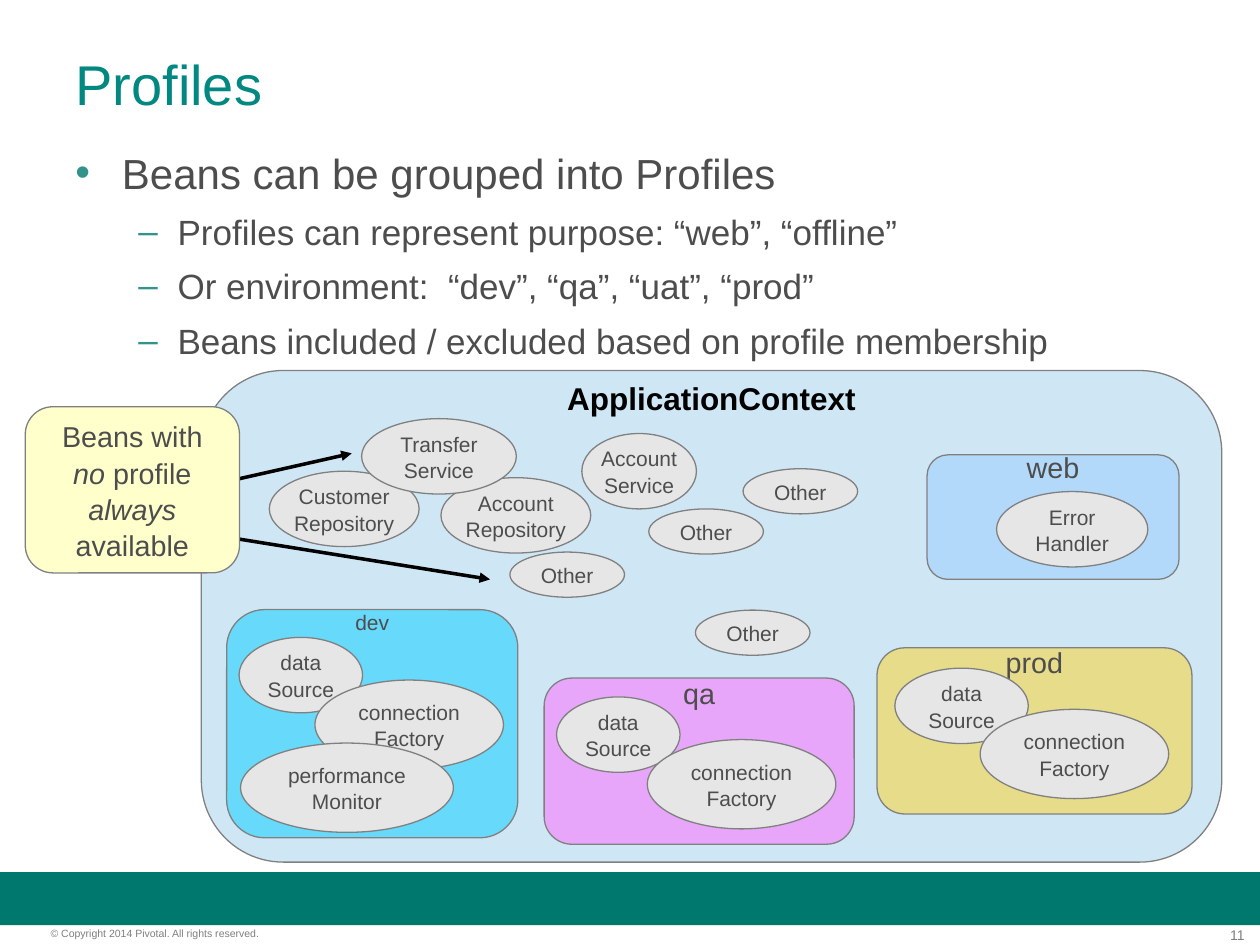
import pptx
import pptx.util
import pptx.dml.color
import pptx.enum.shapes
import pptx.enum.text
import pptx.oxml
import pptx.oxml.ns

Cm, Pt = pptx.util.Cm, pptx.util.Pt
SHAPE = pptx.enum.shapes.MSO_SHAPE
ALIGN = pptx.enum.text.PP_ALIGN
ANCHOR = pptx.enum.text.MSO_ANCHOR
GREY, HAIRLINE, ACCENT = "4D4D4D", "808080", "33928A"
NS = pptx.oxml.ns.nsdecls("a")


def rgb(value):
    """Return the colour of a hex string."""
    return pptx.dml.color.RGBColor.from_string(value)


def add_run(p, text, size, color=GREY, bold=False, italic=False):
    """Add one formatted run to a paragraph."""
    r = p.add_run()
    r.text = text
    r.font.name, r.font.size = "Arial", Pt(size)
    r.font.bold, r.font.italic = bold, italic
    r.font.color.rgb = rgb(color)


def set_frame(tf, margins, anchor=ANCHOR.TOP, wrap=True):
    """Set margins (left, top, right, bottom), anchor and wrapping."""
    tf.margin_left, tf.margin_top, tf.margin_right, tf.margin_bottom = map(Cm, margins)
    tf.vertical_anchor, tf.word_wrap = anchor, wrap


def add_lines(tf, lines, align=ALIGN.CENTER):
    """Write one paragraph per line, each line a list of run arguments."""
    for i, runs in enumerate(lines):
        p = tf.paragraphs[0] if i == 0 else tf.add_paragraph()
        p.alignment, p.line_spacing = align, 1.05
        for args in runs:
            add_run(p, *args)


def add_block(s, kind, box, fill, line=HAIRLINE, alpha=None):
    """Add a filled shape with a hairline outline."""
    sp = s.shapes.add_shape(kind, *map(Cm, box))
    sp.shadow.inherit = False
    sp.fill.solid()
    sp.fill.fore_color.rgb = rgb(fill)
    if alpha:
        clr = sp.fill._xPr.find(".//" + pptx.oxml.ns.qn("a:srgbClr"))
        clr.append(pptx.oxml.parse_xml(f'<a:alpha {NS} val="{alpha * 1000}"/>'))
    if line:
        sp.line.color.rgb = rgb(line)
        sp.line.width = 0
    else:
        sp.line.fill.background()
    return sp


def add_beans(s, box, beans):
    """Draw bean ellipses placed relative to the box."""
    for label, dx, dy, w, h in beans:
        sp = add_block(s, SHAPE.OVAL, (box[0] + dx, box[1] + dy, w, h), "E6E6E6")
        set_frame(sp.text_frame, (0.05, 0.03, 0.05, 0.03), ANCHOR.MIDDLE, False)
        add_lines(sp.text_frame, [[(word, 12)] for word in label.split()])


def add_group(s, box, title, fill, beans, top=-0.25, alpha=50):
    """Draw a rounded container with its title and beans."""
    sp = add_block(s, SHAPE.ROUNDED_RECTANGLE, box, fill, alpha=alpha)
    set_frame(sp.text_frame, (0.25, top, 0.25, 0.13))
    add_lines(sp.text_frame, [[title]])
    add_beans(s, box, beans)


def add_callout(s, box, arrows):
    """Draw the note and its arrows, placed relative to its right edge."""
    x, y, w, h = box
    for y1, dx, y2 in arrows:
        ln = s.shapes.add_connector(
            pptx.enum.shapes.MSO_CONNECTOR.STRAIGHT,
            *map(Cm, (x + w, y + y1, x + w + dx, y + y2)))
        ln.line.color.rgb = rgb("000000")
        ln.line.width = 0
        ln.line._get_or_add_ln().append(
            pptx.oxml.parse_xml(f'<a:tailEnd {NS} type="triangle"/>'))
        ln._element.spPr.append(pptx.oxml.parse_xml(f"<a:effectLst {NS}/>"))
    sp = add_block(s, SHAPE.ROUNDED_RECTANGLE, box, "FFFFCC")
    set_frame(sp.text_frame, (0.25, 0.13, 0.25, 0.13), ANCHOR.MIDDLE)
    add_lines(sp.text_frame, [
        [("Beans with", 16.4)],
        [("no", 16.4, GREY, False, True), (" profile ", 16.4),
         ("always", 16.4, GREY, False, True)],
        [("available", 16.4)],
    ])


def add_title(s, box, text):
    """Place and format the title placeholder."""
    sp = s.shapes.title
    sp.left, sp.top, sp.width, sp.height = map(Cm, box)
    set_frame(sp.text_frame, (0.25, 0.13, 0.25, 0.13), ANCHOR.MIDDLE)
    add_lines(sp.text_frame, [[(text, 32, "008881")]], ALIGN.LEFT)


def add_bullets(s, box, items):
    """Write the bulleted text, given as level and wording."""
    styles = [(24, "•", 0.94, -0.94), (20, "–", 2.06, -0.79)]
    tf = s.shapes.add_textbox(*map(Cm, box)).text_frame
    set_frame(tf, (0.25, 0.13, 0.25, 0.13))
    add_lines(tf, [[(text, styles[level][0])] for level, text in items], ALIGN.LEFT)
    for i, (p, (level, text)) in enumerate(zip(tf.paragraphs, items)):
        size, char, margin, indent = styles[level]
        p.level = level
        if i:
            p.space_before = Pt(6)
        pPr = p._p.get_or_add_pPr()
        pPr.set("marL", str(Cm(margin)))
        pPr.set("indent", str(Cm(indent)))
        for xml in (f'<a:buClr {NS}><a:srgbClr val="{ACCENT}"/></a:buClr>',
                    f'<a:buFont {NS} typeface="Arial"/>',
                    f'<a:buChar {NS} char="{char}"/>'):
            pPr.append(pptx.oxml.parse_xml(xml))


def add_footer(s, box):
    """Draw the footer band, the copyright line and the page number."""
    x, y, w, h = box
    add_block(s, SHAPE.RECTANGLE, (x, y, w, 1.07), "00786E", None)
    for text, dx, width, size, align in (
            ("© Copyright 2014 Pivotal. All rights reserved.", 1.02, 6.32, 6, ALIGN.LEFT),
            ("11", 23.62, 1.47, 8, ALIGN.RIGHT)):
        tb = s.shapes.add_textbox(*map(Cm, (x + dx, y + 1.09, width, 0.33)))
        set_frame(tb.text_frame, (0, 0, 0, 0))
        add_lines(tb.text_frame, [[(text, size, "7F7F7F")]], align)


def main():
    """Build and save the slide."""
    prs = pptx.Presentation()
    prs.slide_width, prs.slide_height = Cm(25.4), Cm(19.05)
    s = prs.slides.add_slide(prs.slide_layouts[5])
    add_footer(s, (0, 17.58, 25.4, 1.47))
    add_title(s, (1.27, 0.76, 22.86, 1.78), "Profiles")
    add_bullets(s, (1.27, 2.79, 22.86, 4.6), [
        (0, "Beans can be grouped into Profiles"),
        (1, "Profiles can represent purpose: “web”, “offline”"),
        (1, "Or environment:  “dev”, “qa”, “uat”, “prod”"),
        (1, "Beans included / excluded based on profile membership"),
    ])
    add_group(s, (4.06, 7.47, 20.57, 9.91),
              ("ApplicationContext", 18, "000000", True), "CFE7F5", [
        ("Other", 9.02, 2.79, 2.31, 0.91),
        ("Customer Repository", 1.37, 2.03, 3.02, 1.52),
        ("Account Repository", 4.83, 2.16, 3.02, 1.52),
        ("Transfer Service", 3.23, 0.97, 3.12, 1.52),
        ("Account Service", 7.67, 1.27, 2.31, 1.52),
        ("Other", 10.92, 1.98, 2.31, 0.91),
        ("Other", 9.96, 4.83, 2.31, 0.91),
        ("Other", 6.22, 3.66, 2.31, 0.91),
    ], top=-0.35, alpha=None)
    add_group(s, (4.57, 12.29, 5.87, 4.6), ("dev", 12), "00CCFF", [
        ("data Source", 0.25, 0.56, 2.49, 1.52),
        ("connection Factory", 1.78, 1.42, 3.8, 1.8),
        ("performance Monitor", 0.28, 2.69, 4.29, 1.8),
    ])
    add_group(s, (17.68, 13.06, 6.35, 3.35), ("prod", 16.4), "FFD320", [
        ("data Source", 0.36, 0.41, 2.69, 1.52),
        ("connection Factory", 2.08, 1.24, 3.8, 1.8),
    ])
    add_group(s, (18.69, 9.17, 5.08, 2.51), ("web", 16.4), "99CCFF", [
        ("Error Handler", 1.4, 0.74, 3.05, 1.52),
    ])
    add_group(s, (10.97, 13.67, 6.25, 3.35), ("qa", 16.4), "FF66FF", [
        ("data Source", 0.25, 0.38, 2.49, 1.52),
        ("connection Factory", 2.08, 1.24, 3.8, 1.8),
    ])
    add_callout(s, (0.51, 8.2, 4.32, 3.35), [(1.45, 2.26, 0.94), (2.67, 5.05, 3.48)])
    prs.save("out.pptx")


if __name__ == "__main__":
    main()
